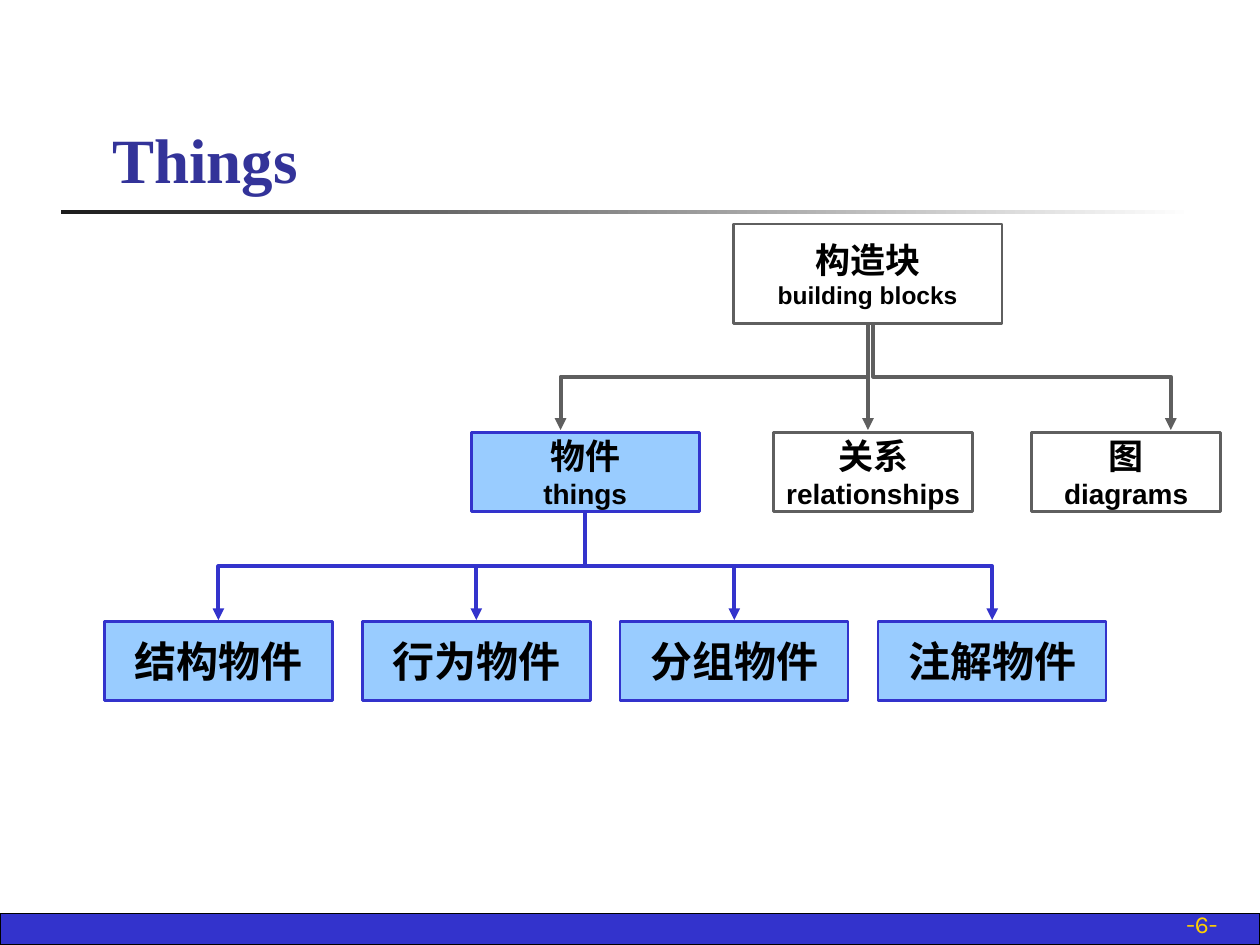
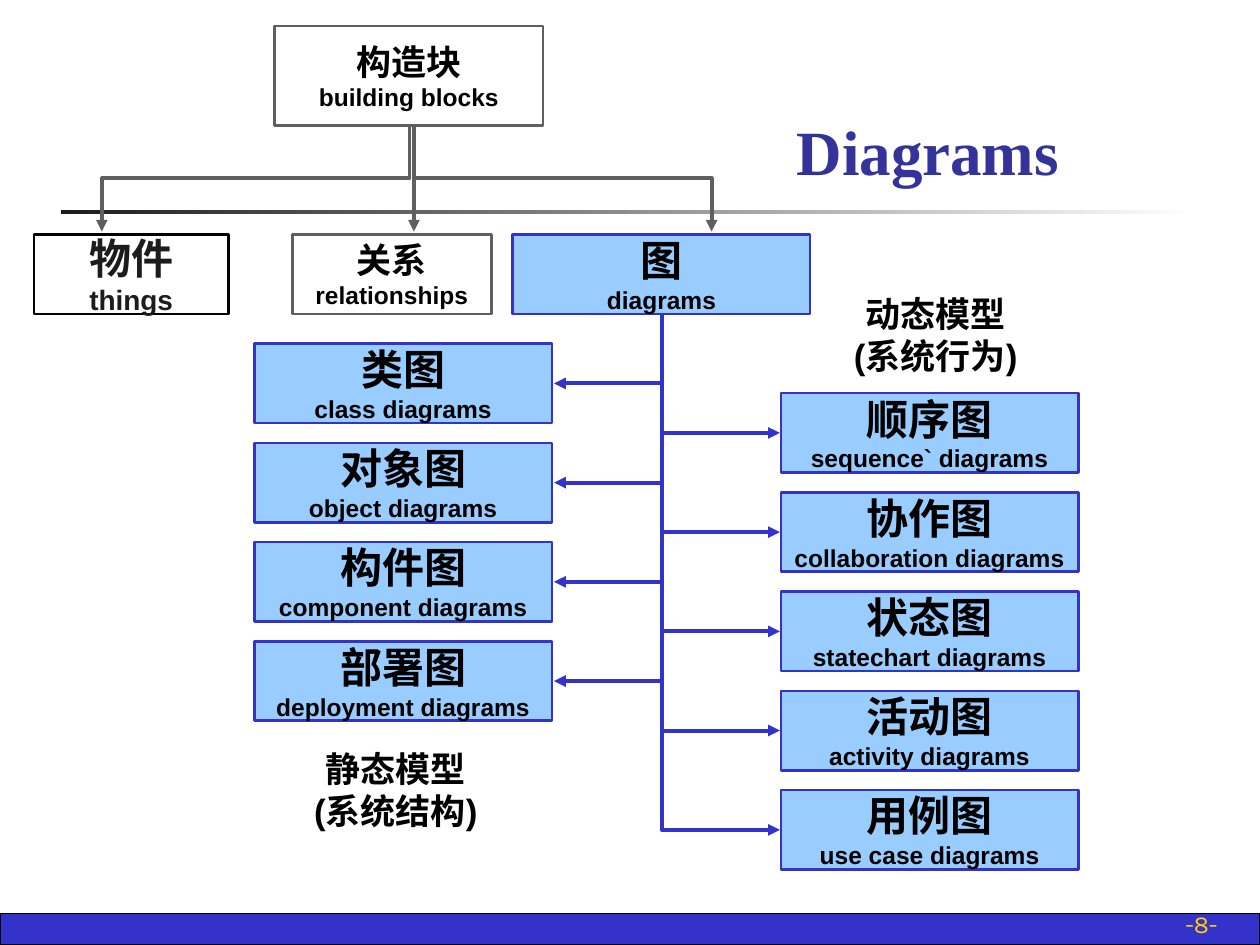
"""Build two slides of box-and-arrow trees of UML building blocks."""
from lxml import etree
from pptx import Presentation
from pptx.dml.color import RGBColor
from pptx.enum import shapes, text
from pptx.oxml import ns
from pptx.util import Pt

BLUE = RGBColor(0x33, 0x33, 0xCC)
SKY = RGBColor(0x99, 0xCC, 0xFF)
NAVY = RGBColor(0x33, 0x33, 0x99)
GRAY = RGBColor(0x5F, 0x5F, 0x5F)
GOLD = RGBColor(0xFF, 0xCF, 0x01)
INK = RGBColor(0x1C, 0x1C, 0x1C)
BLACK = RGBColor(0, 0, 0)
WHITE = RGBColor(255, 255, 255)

ALIGN = text.PP_ALIGN
ANCHOR = text.MSO_ANCHOR
RECT = shapes.MSO_SHAPE.RECTANGLE
KIND = shapes.MSO_CONNECTOR
HIGH = 45.4
STEP = 56.7


def style(item, **form):
    """Set each format value on the item."""
    for name, value in form.items():
        setattr(item, name, value)


def write(frame, lines, align, color, face="Arial", bold=True):
    """Fill a text frame with (text, size) lines."""
    for num, (words, size) in enumerate(lines):
        para = frame.add_paragraph() if num else frame.paragraphs[0]
        para.text = words
        para.alignment = align
        style(para.font, name=face, size=Pt(size), bold=bold)
        para.font.color.rgb = color


def block(slide, place, fill=None, edge=None, width=1.5):
    """Add a plain rectangle."""
    shape = slide.shapes.add_shape(RECT, *map(Pt, place))
    shape.shadow.inherit = False
    if fill is None:
        shape.fill.background()
    else:
        shape.fill.solid()
        shape.fill.fore_color.rgb = fill
    if edge is None:
        shape.line.fill.background()
    else:
        shape.line.color.rgb = edge
        shape.line.width = Pt(width)
    return shape


def box(slide, place, lines, fill=None, edge=GRAY, color=BLACK):
    """Add a rectangle with centred bold lines."""
    shape = block(slide, place, fill, edge)
    style(shape.text_frame, word_wrap=False, vertical_anchor=ANCHOR.MIDDLE)
    write(shape.text_frame, lines, ALIGN.CENTER, color)


def hot(slide, place, *lines):
    """Add a highlighted box."""
    box(slide, place, lines, SKY, BLUE)


def note(slide, place, lines, align, color, anchor=ANCHOR.TOP, **form):
    """Add a wrapped text box."""
    area = slide.shapes.add_textbox(*map(Pt, place))
    style(area.text_frame, word_wrap=True, vertical_anchor=anchor)
    write(area.text_frame, lines, align, color, **form)


def arrow(slide, kind, ends, color):
    """Add a connector with an arrowhead at its end."""
    line = slide.shapes.add_connector(kind, *map(Pt, ends))
    line.line.color.rgb = color
    line.line.width = Pt(2.25)
    props = line.element.spPr
    edge = props.find(ns.qn("a:ln"))
    etree.SubElement(edge, ns.qn("a:tailEnd"), type="triangle")
    etree.SubElement(props, ns.qn("a:effectLst"))
    return props


def bend(slide, start, end, color, turns=2):
    """Add an elbow arrow that leaves its start downwards."""
    (left, top), (right, low) = start, end
    wide, tall = abs(right - left), low - top
    x = (left + right - tall) / 2
    y = (top + low - wide) / 2
    props = arrow(slide, KIND.ELBOW, (x, y, x + tall, y + wide), color)
    frame = props.find(ns.qn("a:xfrm"))
    if right < left:
        frame.set("rot", "5400000")
    else:
        frame.set("rot", "16200000")
        frame.set("flipH", "1")
    if turns == 1:
        props.find(ns.qn("a:prstGeom")).set("prst", "bentConnector2")


def page(deck, title, place, number):
    """Add a slide with title, rule, band and page number."""
    slide = deck.slides.add_slide(deck.slide_layouts[5])
    block(slide, (0, 522, 720, 18), BLUE, BLACK, 0.75)
    rule = block(slide, (34.6, 120, 648, 2.4))
    rule.fill.gradient()
    rule.fill.gradient_angle = 0
    for stop, color, spot in zip(rule.fill.gradient_stops, (INK, WHITE), (0, 1)):
        stop.color.rgb = color
        stop.position = spot
    note(slide, (553, 516.2, 149.8, 23.8), [(f"-{number}-", 14)], ALIGN.RIGHT,
         GOLD, ANCHOR.BOTTOM, face="Karla", bold=False)
    head = slide.shapes.title
    style(head, **dict(zip(("left", "top", "width", "height"), map(Pt, place))))
    style(head.text_frame, vertical_anchor=ANCHOR.BOTTOM, word_wrap=True,
          auto_size=text.MSO_AUTO_SIZE.NONE)
    write(head.text_frame, [(title, 36)], ALIGN.LEFT, NAVY, "Times New Roman")
    return slide


def root(slide, x, y):
    """Add the box at the top of the tree."""
    box(slide, (x, y, 153.4, 56.9), [("构造块", 20), ("building blocks", 14)])


def things(deck):
    """Build the slide on things."""
    slide = page(deck, "Things", (56.9, 25.9, 613.4, 90), 6)
    hot(slide, (269.3, 247, 130.3, HIGH), ("物件", 20), ("things", 16))
    for num, name in enumerate(("结构物件", "行为物件", "分组物件", "注解物件")):
        x = 59.6 + 147.4 * num
        hot(slide, (x, 355, 130.3, HIGH), (name, 24))
        bend(slide, (334.5, 293), (x + 65.2, 354.3), BLUE)
    root(slide, 419.2, 128)
    box(slide, (442, 247, 113.8, HIGH), [("关系", 20), ("relationships", 16)])
    box(slide, (589.5, 247, 108, HIGH), [("图", 20), ("diagrams", 16)])
    bend(slide, (496, 185), (320.3, 245.7), GRAY)
    arrow(slide, KIND.STRAIGHT, (496, 215.3, 496, 245.7), GRAY)
    bend(slide, (499, 185), (669, 245.7), GRAY)


def diagrams(deck):
    """Build the slide on diagrams."""
    slide = page(deck, "Diagrams", (448, 60.5, 221, 50.4), 8)
    hot(slide, (293, 134, 170, HIGH), ("图", 24), ("diagrams", 14))
    fixed = (("类图", "class"), ("对象图", "object"), ("构件图", "component"),
             ("部署图", "deployment"))
    moving = (("顺序图", "sequence`"), ("协作图", "collaboration"),
              ("状态图", "statechart"), ("活动图", "activity"),
              ("用例图", "use case"))
    for names, x, top, tip in ((fixed, 145.4, 196.4, 316.6),
                               (moving, 446.2, 224.7, 445.6)):
        for num, (name, word) in enumerate(names):
            y = top + STEP * num
            hot(slide, (x, y, 170, HIGH), (name, 24), (f"{word} diagrams", 14))
            bend(slide, (378, 180), (tip, y + HIGH / 2), BLUE, turns=1)
    for x, y, words in ((144.5, 423.5, "静态模型\v(系统结构)"),
                        (453, 163.5, "动态模型\v(系统行为)")):
        note(slide, (x, y, 163.4, 55.4), [(words, 20)], ALIGN.CENTER, BLACK)
    box(slide, (19.5, 134, 111, HIGH), [("物件", 24), ("things", 16)],
        edge=BLACK, color=INK)
    root(slide, 157, 14.8)
    box(slide, (167, 134, 113.8, HIGH), [("关系", 20), ("relationships", 14)])
    bend(slide, (234, 71.6), (58.2, 132.3), GRAY)
    arrow(slide, KIND.STRAIGHT, (236.5, 71.6, 236.5, 132.3), GRAY)
    bend(slide, (236.5, 71.6), (406.6, 132.3), GRAY)


def main():
    """Build and save the deck."""
    deck = Presentation()
    style(deck, slide_width=Pt(720), slide_height=Pt(540))
    things(deck)
    diagrams(deck)
    deck.save("out.pptx")


if __name__ == "__main__":
    main()
